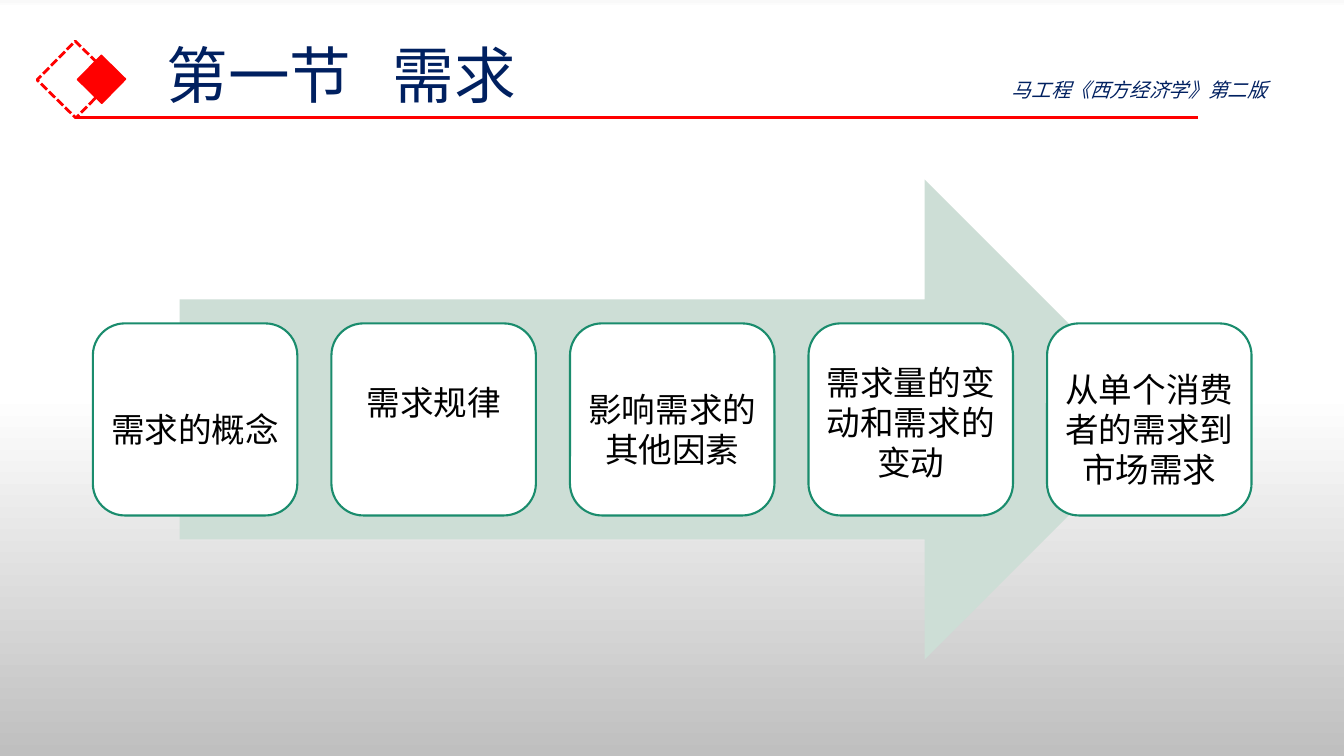
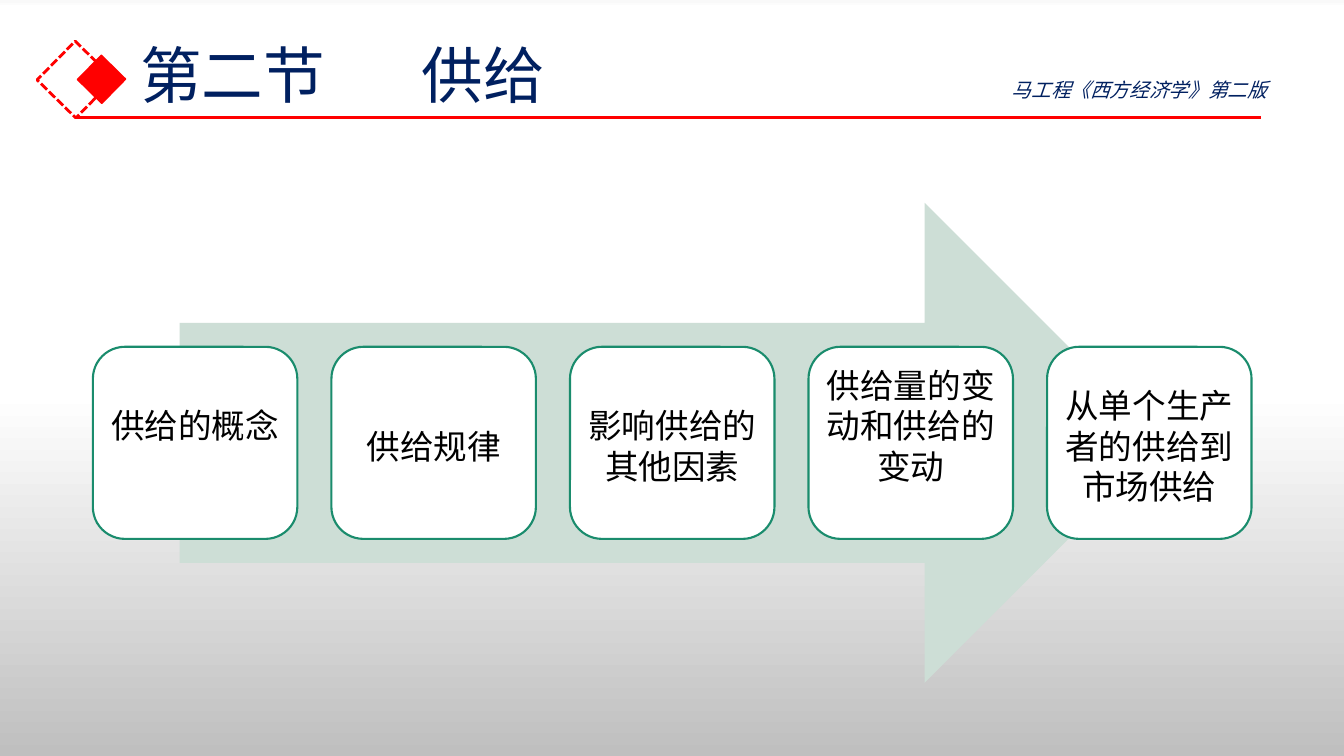
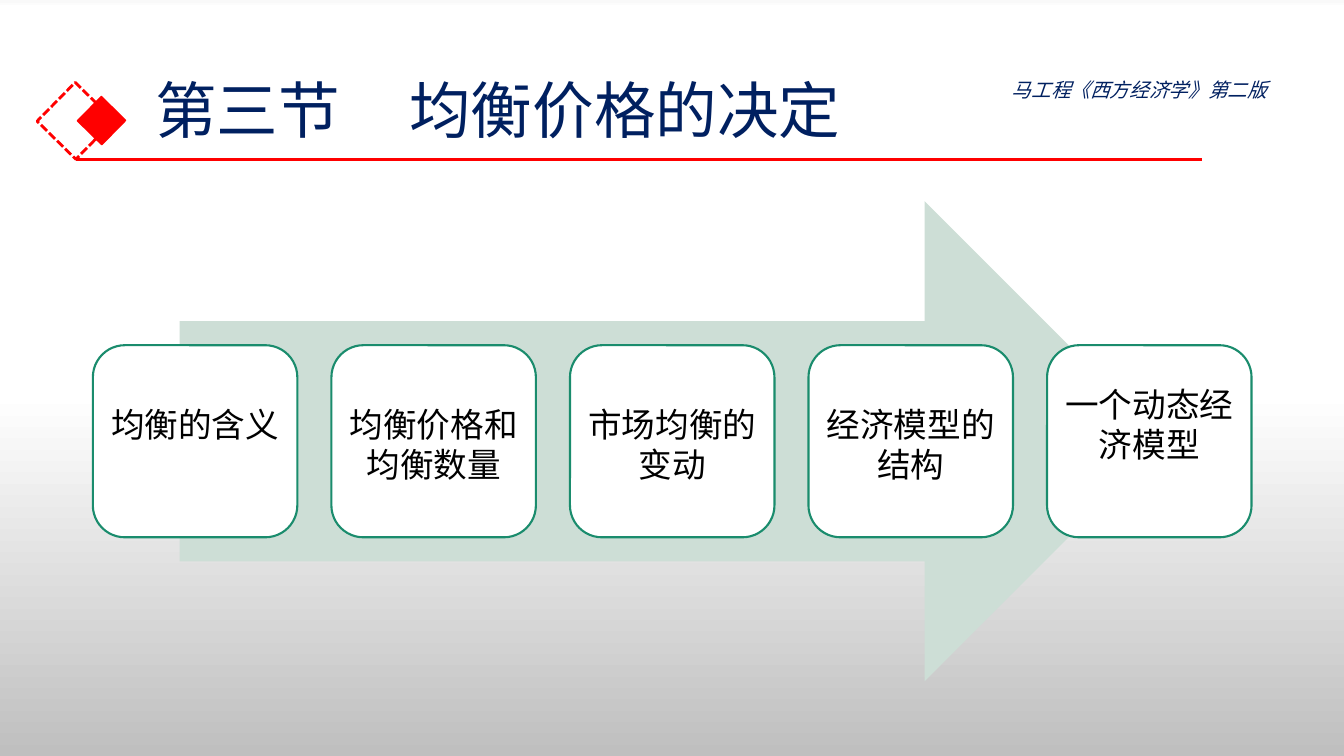
import dataclasses

import lxml.etree
import pptx
import pptx.dml.color
import pptx.enum.dml
import pptx.enum.shapes
import pptx.enum.text
import pptx.oxml.ns
import pptx.util

Cm = pptx.util.Cm
Pt = pptx.util.Pt
qn = pptx.oxml.ns.qn
SHAPES = pptx.enum.shapes.MSO_SHAPE
ALIGN = pptx.enum.text.PP_ALIGN
MIDDLE = pptx.enum.text.MSO_ANCHOR.MIDDLE


@dataclasses.dataclass(frozen=True)
class Theme:
    font: str = "Noto Sans CJK SC"
    navy: str = "002060"
    red: str = "FF0000"
    arrow: str = "CDDED6"
    outline: str = "1A8C6D"
    white: str = "FFFFFF"
    black: str = "000000"
    background: tuple = ((0, "F9F9F9"), (1, "FFFFFF"), (52, "FFFFFF"), (100, "BFBFBF"))
    title_size: float = 44
    topic_size: float = 24
    topic_pitch: float = 28.8
    source_size: float = 14


THEME = Theme()
CENTERED, LIFTED, LOWERED = 0.07, -0.44, 0.24
SOURCE_NOTE = "马工程《西方经济学》第二版"

SECTIONS = [
    dict(
        title="第一节\t需求", title_box=(3.94, 0.13, 27.61, 3.68), tab=5.7,
        mark_top=1.32, rule_right=30.18, flow_top=4.52,
        topics=[
            ("需求的概念", LOWERED),
            ("需求规律", LIFTED),
            ("影响需求的其他因素", LOWERED),
            ("需求量的变动和需求的变动", CENTERED),
            ("从单个消费者的需求到市场需求", LOWERED),
        ],
    ),
    dict(
        title="第二节\t供给", title_box=(3.28, 0.15, 29.21, 3.68), tab=7.1,
        mark_top=1.32, rule_right=31.78, flow_top=5.11,
        topics=[
            ("供给的概念", LIFTED),
            ("供给规律", CENTERED),
            ("影响供给的其他因素", CENTERED),
            ("供给量的变动和供给的变动", LIFTED),
            ("从单个生产者的供给到市场供给", CENTERED),
        ],
    ),
    dict(
        title="第三节\t均衡价格的决定", title_box=(3.66, 1.02, 27.89, 3.68), tab=6.4,
        mark_top=2.36, rule_right=30.3, flow_top=5.07,
        topics=[
            ("均衡的含义", LIFTED),
            ("均衡价格和均衡数量", CENTERED),
            ("市场均衡的变动", CENTERED),
            ("经济模型的结构", CENTERED),
            ("一个动态经济模型", LIFTED),
        ],
    ),
]


def rgb(value):
    return pptx.dml.color.RGBColor.from_string(value)


def format_runs(paragraph, size, color, italic=False):
    for run in paragraph.runs:
        run.font.name = THEME.font
        run.font.size = Pt(size)
        run.font.color.rgb = rgb(color)
        run.font.italic = italic
        latin = run.font._element.find(qn("a:latin"))
        east_asian = lxml.etree.Element(qn("a:ea"), typeface=THEME.font)
        latin.addnext(east_asian)


def add_block(slide, kind, box, fill=None, line=None, line_width=1):
    block = slide.shapes.add_shape(kind, *(Cm(length) for length in box))
    block.shadow.inherit = False
    if fill:
        block.fill.solid()
        block.fill.fore_color.rgb = rgb(fill)
    else:
        block.fill.background()
    if line:
        block.line.color.rgb = rgb(line)
        block.line.width = Pt(line_width)
    else:
        block.line.fill.background()
    return block


def set_background(master):
    fill = master.background.fill
    fill.gradient()
    fill.gradient_angle = 270
    stops = master.element.find(".//" + qn("a:gsLst"))
    for stop in list(stops):
        stops.remove(stop)
    for position, color in THEME.background:
        stop = lxml.etree.SubElement(stops, qn("a:gs"), pos=str(position * 1000))
        lxml.etree.SubElement(stop, qn("a:srgbClr"), val=color)


def place_title(slide, text, box, tab):
    title = slide.shapes.title
    title.left, title.top, title.width, title.height = (Cm(length) for length in box)
    frame = title.text_frame
    frame.text = text
    frame.word_wrap = True
    frame.auto_size = pptx.enum.text.MSO_AUTO_SIZE.NONE
    frame.vertical_anchor = MIDDLE
    heading = frame.paragraphs[0]
    tabs = lxml.etree.SubElement(heading._p.get_or_add_pPr(), qn("a:tabLst"))
    lxml.etree.SubElement(tabs, qn("a:tab"), pos=str(int(Cm(tab))), algn="l")
    heading.alignment = ALIGN.LEFT
    heading.line_spacing = 0.9
    format_runs(heading, THEME.title_size, THEME.navy)


def add_title_mark(slide, left, top, rule_right):
    frame = add_block(slide, SHAPES.RECTANGLE, (left, top, 1.37, 1.37),
                      line=THEME.red, line_width=2)
    frame.line.dash_style = pptx.enum.dml.MSO_LINE.SQUARE_DOT
    core = add_block(slide, SHAPES.RECTANGLE, (left + 0.91, top + 0.25, 0.86, 0.86),
                     fill=THEME.red, line=THEME.red)
    for diamond in (frame, core):
        diamond.rotation = 314.5
    rule_top = Cm(top + 1.65)
    rule = slide.shapes.add_connector(
        pptx.enum.shapes.MSO_CONNECTOR.STRAIGHT,
        Cm(left + 0.69), rule_top, Cm(rule_right), rule_top)
    rule.line.color.rgb = rgb(THEME.red)
    rule.line.width = Pt(2.25)
    lxml.etree.SubElement(rule._element.spPr, qn("a:effectLst"))


def add_source_note(slide, box):
    note = slide.shapes.add_textbox(*(Cm(length) for length in box))
    note.text_frame.word_wrap = True
    note.text_frame.text = SOURCE_NOTE
    format_runs(note.text_frame.paragraphs[0], THEME.source_size, THEME.navy, italic=True)


def add_topic(slide, box, text, shift):
    card = add_block(slide, SHAPES.ROUNDED_RECTANGLE, box,
                     fill=THEME.white, line=THEME.outline, line_width=1.5)
    frame = card.text_frame
    frame.text = text
    frame.word_wrap = True
    frame.vertical_anchor = MIDDLE
    frame.margin_left = frame.margin_right = 0
    frame.margin_top = Cm(max(2 * shift, 0))
    frame.margin_bottom = Cm(max(-2 * shift, 0))
    topic = frame.paragraphs[0]
    topic.alignment = ALIGN.CENTER
    topic.line_spacing = Pt(THEME.topic_pitch)
    format_runs(topic, THEME.topic_size, THEME.black)


def add_topic_flow(slide, box, topics):
    left, top, width, height = box
    add_block(slide, SHAPES.RIGHT_ARROW,
              (left + 0.075 * width, top, 0.85 * width, height), fill=THEME.arrow)
    gap = width / (7 * len(topics) - 1)
    card_width, card_height = 6 * gap, 0.4 * height
    card_top = top + (height - card_height) / 2
    for index, (text, shift) in enumerate(topics):
        card_left = left + index * (card_width + gap)
        add_topic(slide, (card_left, card_top, card_width, card_height), text, shift)


def add_section_slide(presentation, section):
    slide = presentation.slides.add_slide(presentation.slide_layouts[5])
    place_title(slide, section["title"], section["title_box"], section["tab"])
    add_topic_flow(slide, (2.34, section["flow_top"], 29.2, 12.1), section["topics"])
    add_title_mark(slide, 1.22, section["mark_top"], section["rule_right"])
    add_source_note(slide, (25.25, 1.85, 8.23, 0.86))


def main():
    presentation = pptx.Presentation()
    presentation.slide_width = Cm(33.87)
    presentation.slide_height = Cm(19.05)
    set_background(presentation.slide_master)
    for section in SECTIONS:
        add_section_slide(presentation, section)
    presentation.save("out.pptx")


if __name__ == "__main__":
    main()
